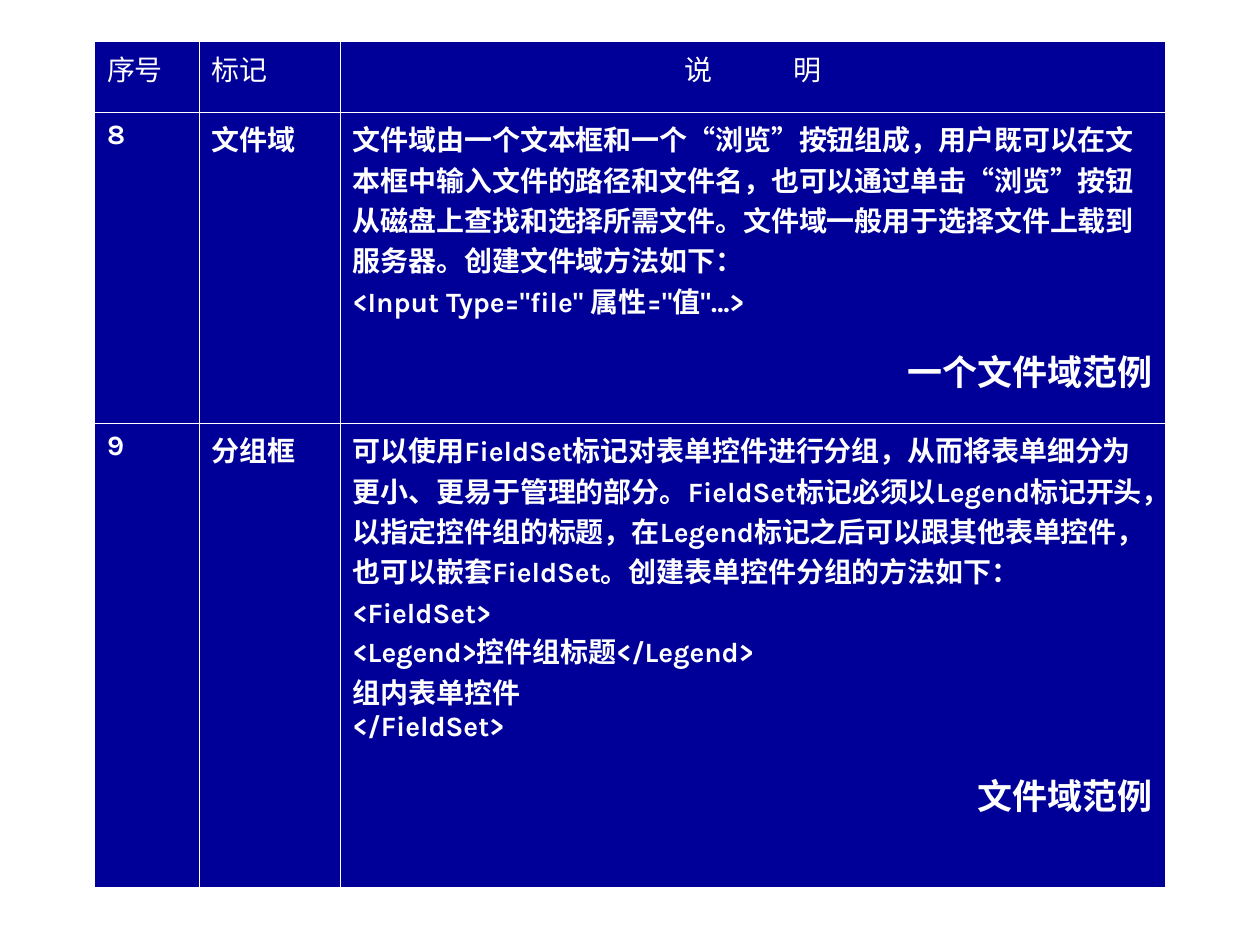
from copy import deepcopy
from dataclasses import dataclass
from lxml.etree import SubElement
from pptx import Presentation
from pptx.dml.color import RGBColor
from pptx.enum.text import PP_ALIGN
from pptx.oxml.ns import qn
from pptx.util import Inches, Pt


@dataclass
class Theme:
    font: str = "Karla"
    fill: str = "000099"
    ink: str = "FFFFFF"
    body: int = 16
    link: int = 20
    outer: float = 1.08
    inner: float = 0.45


def add_border(cell, side, width):
    ln = SubElement(cell._tc.get_or_add_tcPr(), qn(f"a:ln{side}"), w=str(Pt(width)))
    SubElement(SubElement(ln, qn("a:solidFill")), qn("a:srgbClr"), val=theme.ink)


def add_text(p, text, size, bold, align, before):
    p.text = text
    p.alignment = align
    p.space_before = Pt(before)
    for r in p.runs:
        r.font.name = theme.font
        r.font.size = Pt(size)
        r.font.bold = bold
        r.font.color.rgb = RGBColor.from_string(theme.ink)
    for br in p._p.findall(qn("a:br")):
        br.append(deepcopy(p.runs[0]._r.rPr))


theme = Theme()
prs = Presentation()
prs.slide_width, prs.slide_height = Inches(10), Inches(7.5)
W, H = prs.slide_width, prs.slide_height
s = prs.slides.add_slide(prs.slide_layouts[6])

rows = [
    [["序号"], ["标记"], ["说 "]],
    [["8"], ["文件域"], [
        "文件域由一个文本框和一个“浏览”按钮组成，用户既可以在文本框中输入文件的路径和文件名，"
        "也可以通过单击“浏览”按钮从磁盘上查找和选择所需文件。文件域一般用于选择文件上载到服务器。"
        "创建文件域方法如下：\n<Input Type=\"file\" 属性=\"值\"…>",
        "一个文件域范例"]],
    [["9"], ["分组框"], [
        "可以使用FieldSet标记对表单控件进行分组，从而将表单细分为更小、更易于管理的部分。"
        "FieldSet标记必须以Legend标记开头，以指定控件组的标题，在Legend标记之后可以跟其他表单控件，"
        "也可以嵌套FieldSet。创建表单控件分组的方法如下：",
        "<FieldSet>\n<Legend>控件组标题</Legend>\n组内表单控件\n</FieldSet>",
        "文件域范例"]],
]
col_widths = [0.83, 1.12, 6.55]
row_heights = [0.56, 2.47, 3.69]
last_row, last_col = len(rows) - 1, len(col_widths) - 1

frame = s.shapes.add_table(len(rows), len(col_widths), int(W * 0.075), int(H * 0.044),
                           Inches(sum(col_widths)), Inches(sum(row_heights)))
table = frame.table
for col, width in zip(table.columns, col_widths):
    col.width = Inches(width)
for row, height in zip(table.rows, row_heights):
    row.height = Inches(height)

for i, row in enumerate(rows):
    for j, paragraphs in enumerate(row):
        cell = table.cell(i, j)
        edges = {"L": j == 0, "R": j == last_col, "T": i == 0, "B": i == last_row}
        for side, is_outer in edges.items():
            add_border(cell, side, theme.outer if is_outer else theme.inner)
        cell.fill.solid()
        cell.fill.fore_color.rgb = RGBColor.from_string(theme.fill)
        tf = cell.text_frame
        for k, text in enumerate(paragraphs):
            p = tf.add_paragraph() if k else tf.paragraphs[0]
            if text.endswith("范例"):
                add_text(p, text, theme.link, True, PP_ALIGN.RIGHT, 14)
            else:
                align = PP_ALIGN.CENTER if i == 0 and j == last_col else PP_ALIGN.LEFT
                add_text(p, text, theme.body, i > 0, align, 4)

p = table.cell(0, last_col).text_frame.paragraphs[0]
p._p.append(deepcopy(p.runs[0]._r))
p.runs[1].text = "明"
p.runs[0]._r.rPr.set("spc", "2150")

prs.save("out.pptx")
